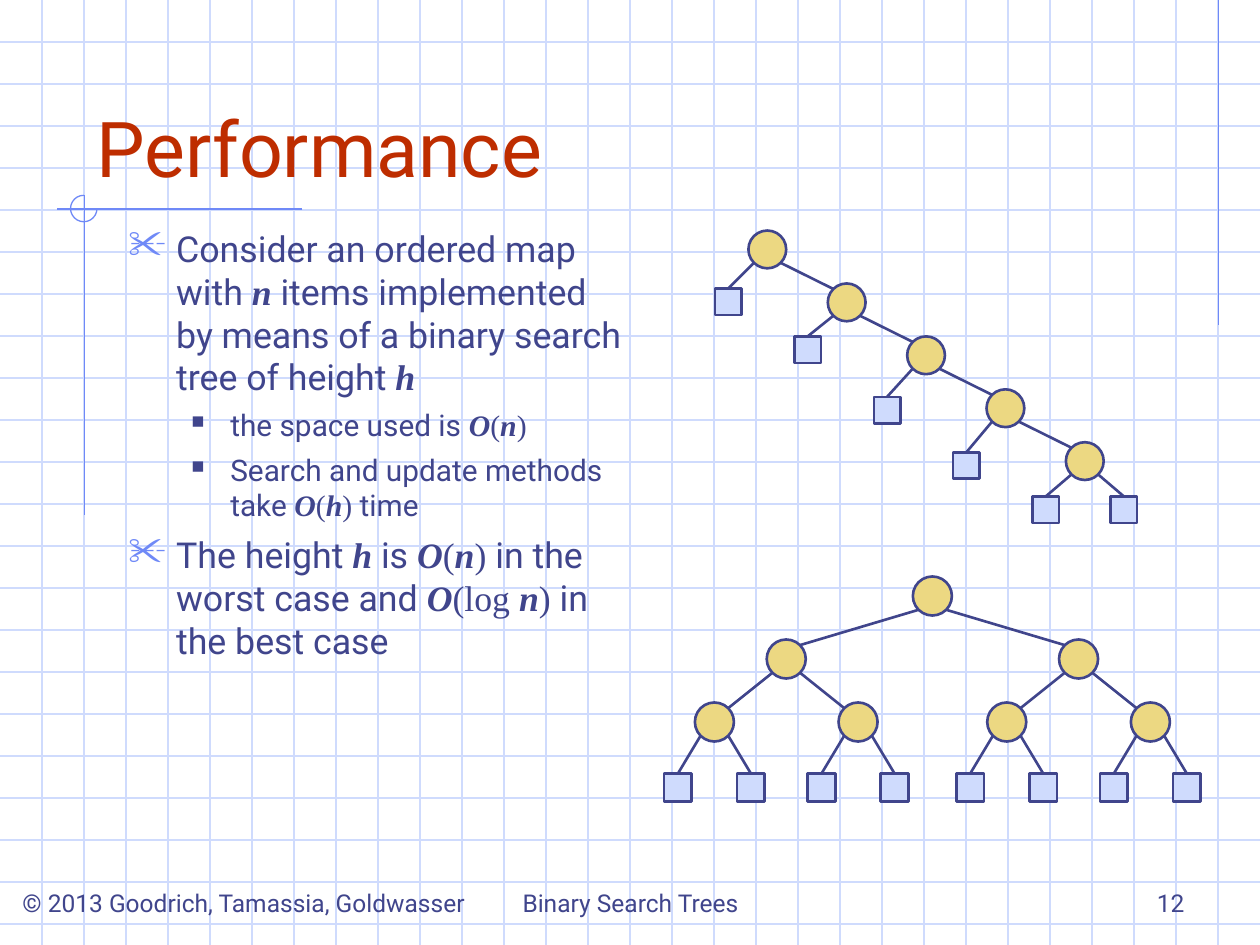
from lxml import etree
from pptx import Presentation
from pptx import util as u
from pptx.dml.color import RGBColor
from pptx.enum import shapes, text
from pptx.oxml import ns

INK = RGBColor(0x40, 0x45, 0x8C)
RED = RGBColor(0xBE, 0x2D, 0x00)
BLUE = RGBColor(0x6F, 0x89, 0xF7)
PALE = RGBColor(0xCF, 0xDB, 0xFD)
GOLD = RGBColor(0xEC, 0xD8, 0x82)

SANS, VAR, SERIF = "sans", "var", "serif"
RUN_STYLES = {
    SANS: ("Roboto", False),
    VAR: ("Times New Roman", True),
    SERIF: ("Times New Roman", False),
}
TITLE = "Performance"
BODY = [
    (0, [("Consider an ordered map with ", SANS), ("n", VAR),
         (" items implemented by means of a binary search tree of height ", SANS), ("h", VAR)]),
    (1, [("the space used is ", SANS), ("O", VAR), ("(", SERIF), ("n", VAR), (")", SERIF)]),
    (1, [("Search and update methods take ", SANS), ("O", VAR), ("(", SERIF), ("h", VAR),
         (") ", SERIF), ("time", SANS)]),
    (0, [("The height ", SANS), ("h", VAR), (" is ", SANS), ("O", VAR), ("(", SERIF),
         ("n", VAR), (") ", SERIF), ("in the worst case and ", SANS), ("O", VAR),
         ("(log ", SERIF), ("n", VAR), (")", SERIF), (" in the best case", SANS)]),
]
LEVELS = [
    dict(size=20.4, before=6, margin=0.38, hang=0.38, bullet="✂", color=BLUE, percent=110),
    dict(size=17, before=5, margin=0.81, hang=0.31, bullet="■", color=INK, percent=60),
]
FOOTERS = [
    ("Binary Search Trees", 3.42, 3.17, text.PP_ALIGN.CENTER),
    ("12", 7.17, 2.33, text.PP_ALIGN.RIGHT),
    ("© 2013 Goodrich, Tamassia, Goldwasser", 0.08, 3.83, text.PP_ALIGN.LEFT),
]
RULES = [(9.67, 0, 9.67, 2.58), (2.4, 1.66, 0.45, 1.66), (0.67, 1.55, 0.67, 4.09)]

CHAIN_START, CHAIN_STEP = (6.09, 1.98), (0.63, 0.42)
CHAIN_LEAF_TOPS = [2.29, 2.67, 3.15, 3.59, 3.94]
CHAIN_LEAF_OFFSET = 0.31
CHAIN_RADIUS, CHAIN_LEAF = 0.15, 0.21

BALANCED_ROOT = (7.4, 4.73)
BALANCED_SPREADS = [1.16, 0.57, 0.29]
BALANCED_LEVEL_GAP = 0.5
BALANCED_LEAF_TOP = 6.14
BALANCED_RADIUS, BALANCED_LEAF = 0.155, 0.22
DIAGONAL = 0.71

prs = Presentation()
prs.slide_width, prs.slide_height = u.Inches(10), u.Inches(7.5)
slide = prs.slides.add_slide(prs.slide_layouts[6])


def add_line(x1, y1, x2, y2, color, width):
    line = slide.shapes.add_connector(
        shapes.MSO_CONNECTOR.STRAIGHT, *map(u.Inches, (x1, y1, x2, y2)))
    line.line.color.rgb = color
    line.line.width = u.Pt(width)
    etree.SubElement(line._element.spPr, ns.qn("a:effectLst"))
    return line


def add_node(kind, x, y, size, fill):
    node = slide.shapes.add_shape(kind, *map(u.Inches, (x, y, size, size)))
    node.shadow.inherit = False
    node.fill.solid()
    node.fill.fore_color.rgb = fill
    node.line.color.rgb = INK
    node.line.width = u.Pt(1.5)
    return node


def add_circle(center, radius):
    x, y = center
    add_node(shapes.MSO_SHAPE.OVAL, x - radius, y - radius, 2 * radius, GOLD)


def join_circles(parent, child, radius):
    reach = radius * DIAGONAL
    side = reach if child[0] > parent[0] else -reach
    add_line(parent[0] + side, parent[1] + reach, child[0] - side, child[1] - reach, INK, 1.5)


def add_leaf(parent, radius, x, top, size):
    leaf = add_node(shapes.MSO_SHAPE.RECTANGLE, x - size / 2, top, size, PALE)
    reach = radius * DIAGONAL
    side = reach if x > parent[0] else -reach
    edge = add_line(parent[0] + side, parent[1] + reach, x, top, INK, 1.5)
    edge.end_connect(leaf, 0)


def add_balanced(center, depth=0):
    x, y = center
    add_circle(center, BALANCED_RADIUS)
    for sign in (-1, 1):
        child_x = x + sign * BALANCED_SPREADS[depth]
        if depth == len(BALANCED_SPREADS) - 1:
            add_leaf(center, BALANCED_RADIUS, child_x, BALANCED_LEAF_TOP, BALANCED_LEAF)
        else:
            child = (child_x, y + BALANCED_LEVEL_GAP)
            join_circles(center, child, BALANCED_RADIUS)
            add_balanced(child, depth + 1)


def add_text(x, y, w, h, anchor):
    frame = slide.shapes.add_textbox(*map(u.Inches, (x, y, w, h))).text_frame
    frame.word_wrap = True
    frame.vertical_anchor = anchor
    return frame


def add_run(paragraph, words, size, color, style=SANS):
    run = paragraph.add_run()
    run.text = words
    face, slanted_bold = RUN_STYLES[style]
    run.font.name = face
    run.font.size = u.Pt(size)
    run.font.bold = run.font.italic = slanted_bold
    run.font.color.rgb = color


def set_bullet(paragraph, level):
    props = paragraph._p.get_or_add_pPr()
    props.set("marL", str(u.Inches(level["margin"])))
    props.set("indent", str(-u.Inches(level["hang"])))
    color = etree.SubElement(props, ns.qn("a:buClr"))
    etree.SubElement(color, ns.qn("a:srgbClr"), val=str(level["color"]))
    etree.SubElement(props, ns.qn("a:buSzPct"), val=str(level["percent"] * 1000))
    etree.SubElement(props, ns.qn("a:buChar"), char=level["bullet"])


for row in range(1, 23):
    add_line(0, row / 3, 10, row / 3, PALE, 0.75)
for column in range(1, 30):
    add_line(column / 3, 0, column / 3, 7.5, PALE, 0.75)
for rule in RULES:
    add_line(*rule, BLUE, 0.75)

arc = slide.shapes.add_shape(
    shapes.MSO_SHAPE.ARC, *map(u.Inches, (0.56, 1.55, 0.21, 0.21)))
arc.adjustments[0], arc.adjustments[1] = 0, 162
arc.shadow.inherit = False
arc.fill.background()
arc.line.color.rgb = BLUE
arc.line.width = u.Pt(0.75)

title = add_text(0.67, 0.33, 8.75, 1.25, text.MSO_ANCHOR.BOTTOM)
add_run(title.paragraphs[0], TITLE, 44, RED)

body = add_text(0.92, 1.75, 4.17, 5.08, text.MSO_ANCHOR.TOP)
for index, (depth, runs) in enumerate(BODY):
    level = LEVELS[depth]
    paragraph = body.add_paragraph() if index else body.paragraphs[0]
    set_bullet(paragraph, level)
    paragraph.level = depth
    paragraph.space_before = u.Pt(level["before"] if index else 0)
    for words, style in runs:
        add_run(paragraph, words, level["size"], INK, style)

chain = [(CHAIN_START[0] + i * CHAIN_STEP[0], CHAIN_START[1] + i * CHAIN_STEP[1])
         for i in range(len(CHAIN_LEAF_TOPS))]
for parent, child in zip(chain, chain[1:]):
    join_circles(parent, child, CHAIN_RADIUS)
for center, top in zip(chain, CHAIN_LEAF_TOPS):
    add_circle(center, CHAIN_RADIUS)
    add_leaf(center, CHAIN_RADIUS, center[0] - CHAIN_LEAF_OFFSET, top, CHAIN_LEAF)
add_leaf(chain[-1], CHAIN_RADIUS, chain[-1][0] + CHAIN_LEAF_OFFSET, CHAIN_LEAF_TOPS[-1], CHAIN_LEAF)

add_balanced(BALANCED_ROOT)

for words, x, width, align in FOOTERS:
    footer = add_text(x, 6.83, width, 0.5, text.MSO_ANCHOR.BOTTOM).paragraphs[0]
    footer.alignment = align
    add_run(footer, words, 14, INK)

prs.save("out.pptx")
